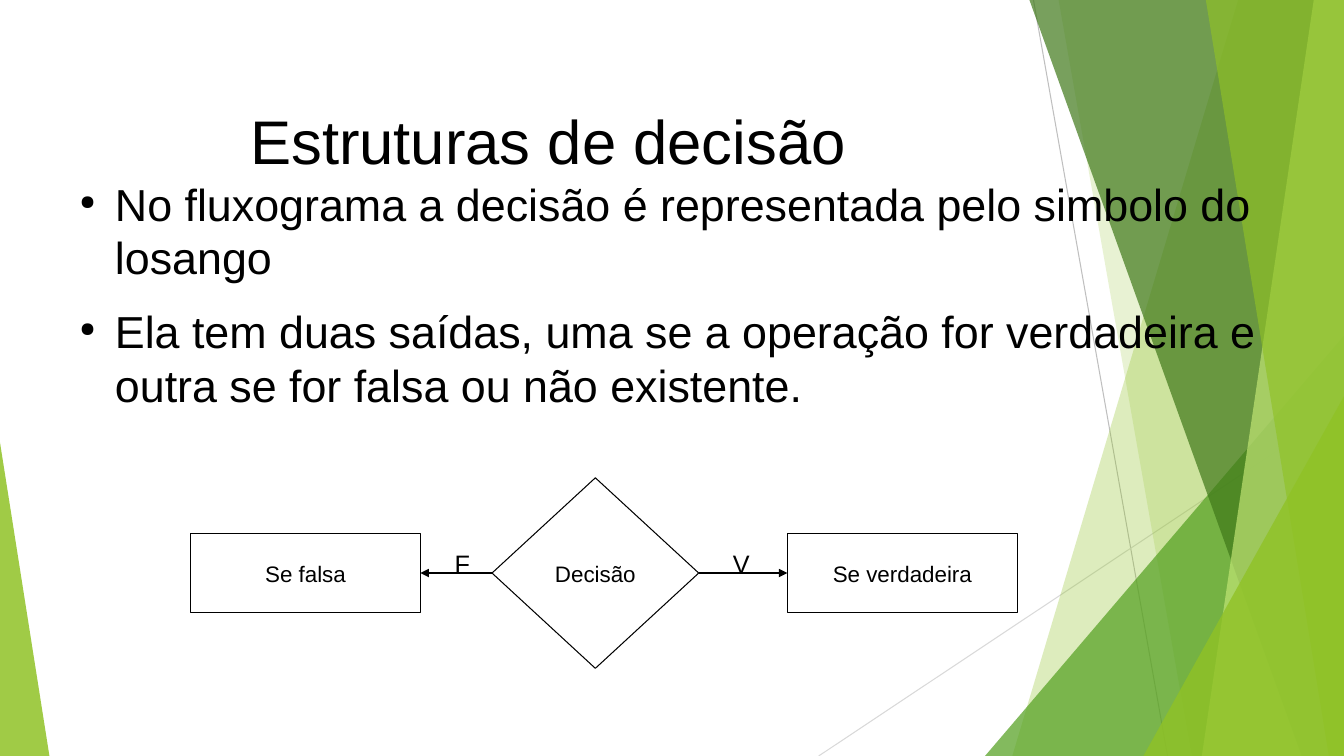
from pptx import Presentation
from pptx.dml.color import RGBColor
from pptx.enum.shapes import MSO_CONNECTOR, MSO_SHAPE
from pptx.enum.text import MSO_ANCHOR, MSO_AUTO_SIZE, PP_ALIGN
from pptx.oxml.ns import qn
from pptx.util import Inches, Pt
from lxml import etree

STRAIGHT = MSO_CONNECTOR.STRAIGHT
DECISION = MSO_SHAPE.FLOWCHART_DECISION
PROCESS = MSO_SHAPE.FLOWCHART_PROCESS
MIDDLE, TOP = MSO_ANCHOR.MIDDLE, MSO_ANCHOR.TOP
CENTER, LEFT = PP_ALIGN.CENTER, PP_ALIGN.LEFT
NO_AUTOFIT = MSO_AUTO_SIZE.NONE

BLACK = RGBColor(0x00, 0x00, 0x00)
WHITE = RGBColor(0xFF, 0xFF, 0xFF)
GRAY = RGBColor(0xBF, 0xBF, 0xBF)
LIGHT_GRAY = RGBColor(0xD9, 0xD9, 0xD9)
LIME = RGBColor(0x90, 0xC2, 0x26)
GREEN = RGBColor(0x54, 0xA0, 0x21)
DARK_GREEN = RGBColor(0x3F, 0x78, 0x19)
PALE_LIME = RGBColor(0xC0, 0xE4, 0x74)

W, H = 13.33, 7.5
LEFT_SITE, RIGHT_SITE = 1, 3

FACETS = [
    ([(12.28, 0), (W, 0), (W, H), (10.04, H)], LIME, 30),
    ([(10.5, 0), (W, 0), (W, H), (11.82, H)], LIME, 20),
    ([(9.77, H), (W, 3.33), (W, H)], GREEN, 72),
    ([(10.21, 0), (W, 0), (W, H), (12.91, H)], DARK_GREEN, 70),
    ([(13.03, 0), (W, 0), (W, H), (11.92, H)], PALE_LIME, 70),
    ([(11.96, 0), (W, 0), (W, H), (13.18, H)], LIME, 65),
    ([(11.34, H), (W, 3.93), (W, H)], LIME, 80),
    ([(0, H), (0, 4.39), (0.49, H)], LIME, 85),
]
POINTS = [
    "No fluxograma a decisão é representada pelo simbolo do losango",
    "Ela tem duas saídas, uma se a operação for verdadeira e outra se for "
    "falsa ou não existente.",
]


class SlideBuilder:
    font = "Arial"
    hairline = Pt(0)

    def __init__(self, slide):
        self.slide = slide
        self.shapes = slide.shapes

    def style(self, frame, size, align=LEFT, anchor=TOP):
        frame.vertical_anchor = anchor
        for paragraph in frame.paragraphs:
            paragraph.alignment = align
            for run in paragraph.runs:
                run.font.name = self.font
                run.font.size = Pt(size)
                run.font.color.rgb = BLACK

    def clear_margins(self, frame):
        frame.margin_left = frame.margin_right = 0
        frame.margin_top = frame.margin_bottom = 0

    def title(self, text, left, top, width, height):
        title = self.shapes.title
        title.left, title.top = Inches(left), Inches(top)
        title.width, title.height = Inches(width), Inches(height)
        frame = title.text_frame
        frame.text = text
        frame.auto_size = NO_AUTOFIT
        self.clear_margins(frame)
        self.style(frame, 44, CENTER, MIDDLE)

    def facet(self, points, color, opacity):
        """Draw a borderless polygon with the given opacity in percent."""
        corners = [(Inches(x), Inches(y)) for x, y in points]
        builder = self.shapes.build_freeform(*corners[0])
        builder.add_line_segments(corners[1:], close=True)
        facet = builder.convert_to_shape()
        facet.shadow.inherit = False
        facet.line.fill.background()
        facet.fill.solid()
        facet.fill.fore_color.rgb = color
        rgb = facet.fill._xPr.find(".//" + qn("a:srgbClr"))
        etree.SubElement(rgb, qn("a:alpha"), val=str(opacity * 1000))

    def line(self, x1, y1, x2, y2, color, width):
        line = self.shapes.add_connector(
            STRAIGHT, Inches(x1), Inches(y1), Inches(x2), Inches(y2))
        line.line.color.rgb = color
        line.line.width = width
        etree.SubElement(line._element.spPr, qn("a:effectLst"))
        return line

    def arrow(self, source, source_site, target, target_site):
        arrow = self.line(0, 0, 1, 1, BLACK, self.hairline)
        arrow.begin_connect(source, source_site)
        arrow.end_connect(target, target_site)
        etree.SubElement(arrow.line._ln, qn("a:tailEnd"), type="triangle")

    def node(self, kind, text, left, top, width, height):
        node = self.shapes.add_shape(
            kind, Inches(left), Inches(top), Inches(width), Inches(height))
        node.shadow.inherit = False
        node.fill.solid()
        node.fill.fore_color.rgb = WHITE
        node.line.color.rgb = BLACK
        node.line.width = self.hairline
        node.text_frame.text = text
        self.style(node.text_frame, 16, CENTER, MIDDLE)
        return node

    def label(self, text, left, top, width, height):
        label = self.shapes.add_textbox(
            Inches(left), Inches(top), Inches(width), Inches(height))
        label.text_frame.text = text
        label.text_frame.word_wrap = False
        self.style(label.text_frame, 18)

    def bullets(self, items, left, top, width, height):
        box = self.shapes.add_textbox(
            Inches(left), Inches(top), Inches(width), Inches(height))
        frame = box.text_frame
        frame.word_wrap = True
        self.clear_margins(frame)
        frame.text = "\n".join(items)
        for index, paragraph in enumerate(frame.paragraphs):
            props = paragraph._p.get_or_add_pPr()
            props.set("marL", str(Inches(0.47)))
            props.set("indent", str(Inches(-0.35)))
            color = etree.SubElement(props, qn("a:buClr"))
            etree.SubElement(color, qn("a:srgbClr"), val=str(BLACK))
            etree.SubElement(props, qn("a:buSzPct"), val="45000")
            etree.SubElement(props, qn("a:buChar"), char="●")
            if index:
                paragraph.space_before = Pt(14.2)
        self.style(frame, 32)


def main():
    deck = Presentation()
    deck.slide_width, deck.slide_height = Inches(W), Inches(H)
    page = SlideBuilder(deck.slides.add_slide(deck.slide_layouts[5]))

    page.line(10.25, 0, 11.58, H, GRAY, Pt(0.75))
    page.line(W, 4.03, 8.12, H, LIGHT_GRAY, Pt(0.75))
    for points, color, opacity in FACETS:
        page.facet(points, color, opacity)

    page.title("Estruturas de decisão", 0.74, 0.67, 9.4, 1.44)
    page.bullets(POINTS, 0.67, 1.75, 12, 4.35)

    decision = page.node(DECISION, "Decisão", 4.88, 4.74, 2.05, 1.89)
    if_false = page.node(PROCESS, "Se falsa", 1.89, 5.29, 2.28, 0.79)
    if_true = page.node(PROCESS, "Se verdadeira", 7.81, 5.29, 2.28, 0.79)
    page.arrow(decision, RIGHT_SITE, if_true, LEFT_SITE)
    page.arrow(decision, LEFT_SITE, if_false, RIGHT_SITE)
    page.label("V", 7.17, 5.39, 0.36, 0.38)
    page.label("F", 4.41, 5.39, 0.35, 0.38)

    deck.save("out.pptx")


if __name__ == "__main__":
    main()
